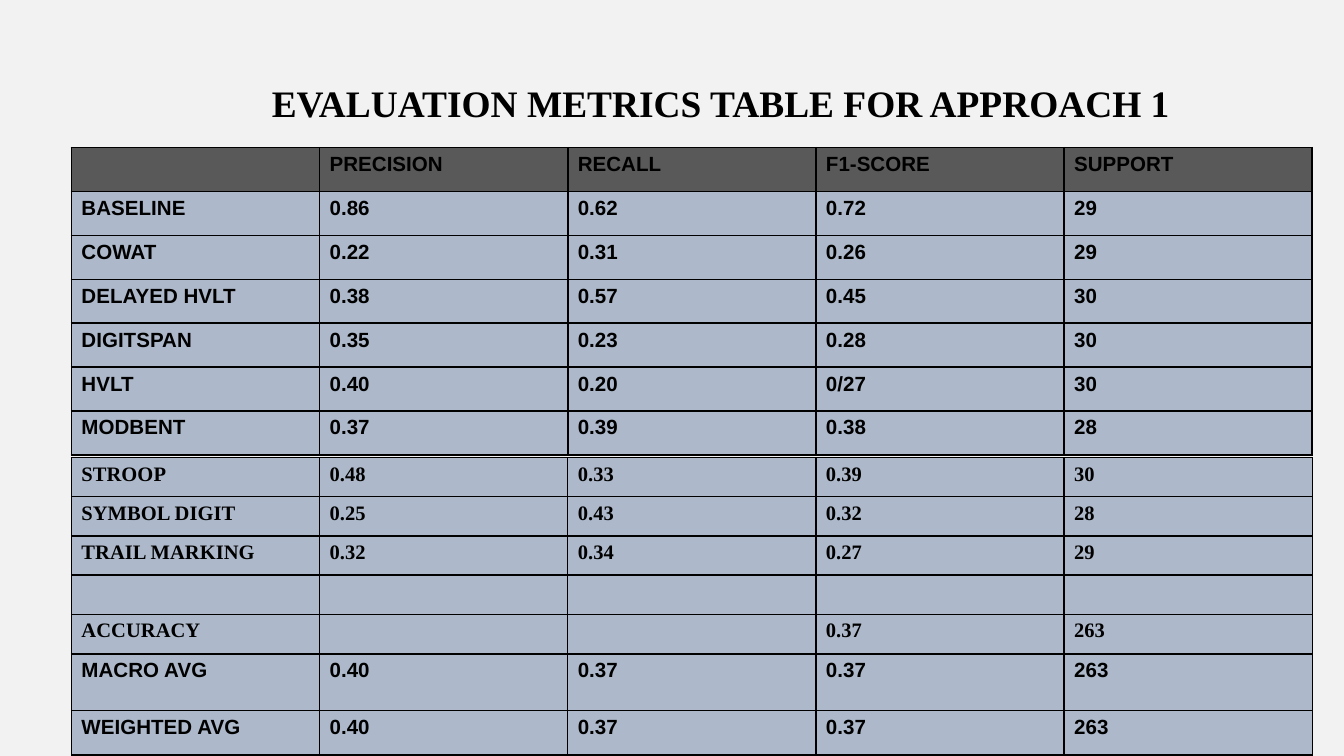
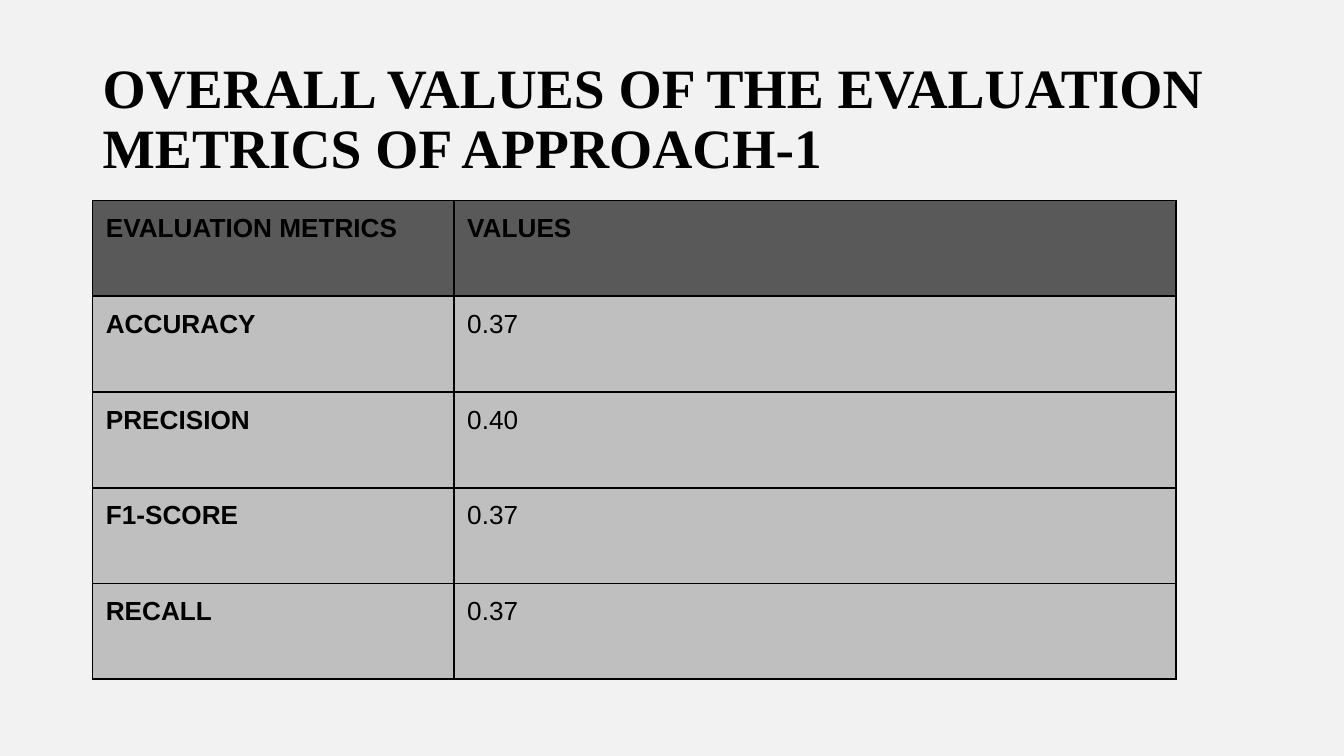
from dataclasses import dataclass

import lxml.etree
import pptx
import pptx.dml.color
import pptx.enum.text
import pptx.oxml.ns
import pptx.util

Cm = pptx.util.Cm
Pt = pptx.util.Pt
qn = pptx.oxml.ns.qn

COLORS = {
    "background": "F2F2F2",
    "text": "000000",
    "border": "000000",
    "header": "595959",
    "scores": "ADB9CA",
    "overall": "BFBFBF",
}
SERIF = "Times New Roman"
SANS = "Arial"


@dataclass
class Title:
    text: str
    left: float
    top: float
    width: float
    height: float
    size: float
    align: pptx.enum.text.PP_ALIGN = pptx.enum.text.PP_ALIGN.LEFT


@dataclass
class Grid:
    left: float
    top: float
    col_widths: list[float]
    row_heights: list[float]
    rows: list[list[str]]
    fill: str
    font: str = SANS
    size: float = 11
    border: float = 0.75
    margin_x: float = 0.19
    margin_y: float = 0.1
    has_header: bool = False
    bold_values: bool = True


SCORE_LEFT = 1.35
SCORE_COLS = [4.69] * 5

SCORE_TITLE = Title("EVALUATION METRICS TABLE FOR APPROACH 1",
                    3.35, 1.22, 20.55, 1.55, 20, pptx.enum.text.PP_ALIGN.CENTER)
SCORE_GRIDS = [
    Grid(SCORE_LEFT, 2.79, SCORE_COLS, [0.83] * 7, [
        ["", "PRECISION", "RECALL", "F1-SCORE", "SUPPORT"],
        ["BASELINE", "0.86", "0.62", "0.72", "29"],
        ["COWAT", "0.22", "0.31", "0.26", "29"],
        ["DELAYED HVLT", "0.38", "0.57", "0.45", "30"],
        ["DIGITSPAN", "0.35", "0.23", "0.28", "30"],
        ["HVLT", "0.40", "0.20", "0/27", "30"],
        ["MODBENT", "0.37", "0.39", "0.38", "28"],
    ], "scores", border=1, has_header=True),
    Grid(SCORE_LEFT, 8.65, SCORE_COLS, [0.74] * 5, [
        ["STROOP", "0.48", "0.33", "0.39", "30"],
        ["SYMBOL DIGIT", "0.25", "0.43", "0.32", "28"],
        ["TRAIL MARKING", "0.32", "0.34", "0.27", "29"],
        ["", "", "", "", ""],
        ["ACCURACY", "", "", "0.37", "263"],
    ], "scores", font=SERIF),
    Grid(SCORE_LEFT, 12.36, SCORE_COLS, [1.07, 0.84], [
        ["MACRO AVG", "0.40", "0.37", "0.37", "263"],
        ["WEIGHTED AVG", "0.40", "0.37", "0.37", "263"],
    ], "scores"),
]

OVERALL_TITLE = Title("OVERALL VALUES OF THE EVALUATION METRICS OF APPROACH-1",
                      1.75, 0.76, 23.24, 3.05, 29.7)
OVERALL_GRID = Grid(1.75, 3.79, [6.83, 13.64], [1.81] * 5, [
    ["EVALUATION METRICS", "VALUES"],
    ["ACCURACY", "0.37"],
    ["PRECISION", "0.40"],
    ["F1-SCORE", "0.37"],
    ["RECALL", "0.37"],
], "overall", size=14, border=1, margin_x=0.25, margin_y=0.25,
    has_header=True, bold_values=False)


def rgb(name: str) -> pptx.dml.color.RGBColor:
    return pptx.dml.color.RGBColor.from_string(COLORS[name])


def set_font(p, name: str, size: float, bold: bool) -> None:
    p.font.name = name
    p.font.size = Pt(size)
    p.font.bold = bold
    p.font.color.rgb = rgb("text")


def set_margins(target, x: float, y: float) -> None:
    target.margin_left = target.margin_right = Cm(x)
    target.margin_top = target.margin_bottom = Cm(y)


def set_borders(cell, width: float) -> None:
    tc_pr = cell._tc.get_or_add_tcPr()
    for side in ("a:lnL", "a:lnR", "a:lnT", "a:lnB"):
        ln = lxml.etree.SubElement(tc_pr, qn(side), w=str(Pt(width)))
        fill = lxml.etree.SubElement(ln, qn("a:solidFill"))
        lxml.etree.SubElement(fill, qn("a:srgbClr"), val=COLORS["border"])


def add_title(slide, title: Title) -> None:
    sp = slide.shapes.title
    sp.left, sp.top = Cm(title.left), Cm(title.top)
    sp.width, sp.height = Cm(title.width), Cm(title.height)
    tf = sp.text_frame
    tf.text = title.text
    tf.word_wrap = True
    tf.auto_size = pptx.enum.text.MSO_AUTO_SIZE.NONE
    tf.vertical_anchor = pptx.enum.text.MSO_ANCHOR.MIDDLE
    set_margins(tf, 0.19, 0.1)
    p = tf.paragraphs[0]
    p.alignment = title.align
    p.line_spacing = 0.9
    set_font(p, SERIF, title.size, True)


def fill_cell(cell, text: str, grid: Grid, is_header: bool, bold: bool) -> None:
    set_margins(cell, grid.margin_x, grid.margin_y)
    set_borders(cell, grid.border)
    cell.fill.solid()
    cell.fill.fore_color.rgb = rgb("header" if is_header else grid.fill)
    p = cell.text_frame.paragraphs[0]
    if text:
        p.text = text
    set_font(p, grid.font, grid.size, bold)
    if not text:
        lxml.etree.SubElement(p._p, qn("a:endParaRPr"), sz=str(int(grid.size * 100)))


def add_grid(slide, grid: Grid) -> None:
    table = slide.shapes.add_table(
        len(grid.rows), len(grid.col_widths), Cm(grid.left), Cm(grid.top),
        Cm(sum(grid.col_widths)), Cm(sum(grid.row_heights))).table
    table.first_row = grid.has_header
    table.horz_banding = False
    for column, width in zip(table.columns, grid.col_widths):
        column.width = Cm(width)
    for row, height in zip(table.rows, grid.row_heights):
        row.height = Cm(height)
    for i, texts in enumerate(grid.rows):
        is_header = grid.has_header and i == 0
        for j, text in enumerate(texts):
            bold = is_header or j == 0 or grid.bold_values
            fill_cell(table.cell(i, j), text, grid, is_header, bold)


def add_slide(prs, title: Title, grids: list[Grid]) -> None:
    slide = prs.slides.add_slide(prs.slide_layouts.get_by_name("Title Only"))
    add_title(slide, title)
    for grid in grids:
        add_grid(slide, grid)


def main() -> None:
    prs = pptx.Presentation()
    prs.slide_width, prs.slide_height = Cm(25.4), Cm(14.29)
    background = prs.slide_master.background.fill
    background.solid()
    background.fore_color.rgb = rgb("background")
    add_slide(prs, SCORE_TITLE, SCORE_GRIDS)
    add_slide(prs, OVERALL_TITLE, [OVERALL_GRID])
    prs.save("out.pptx")


if __name__ == "__main__":
    main()
